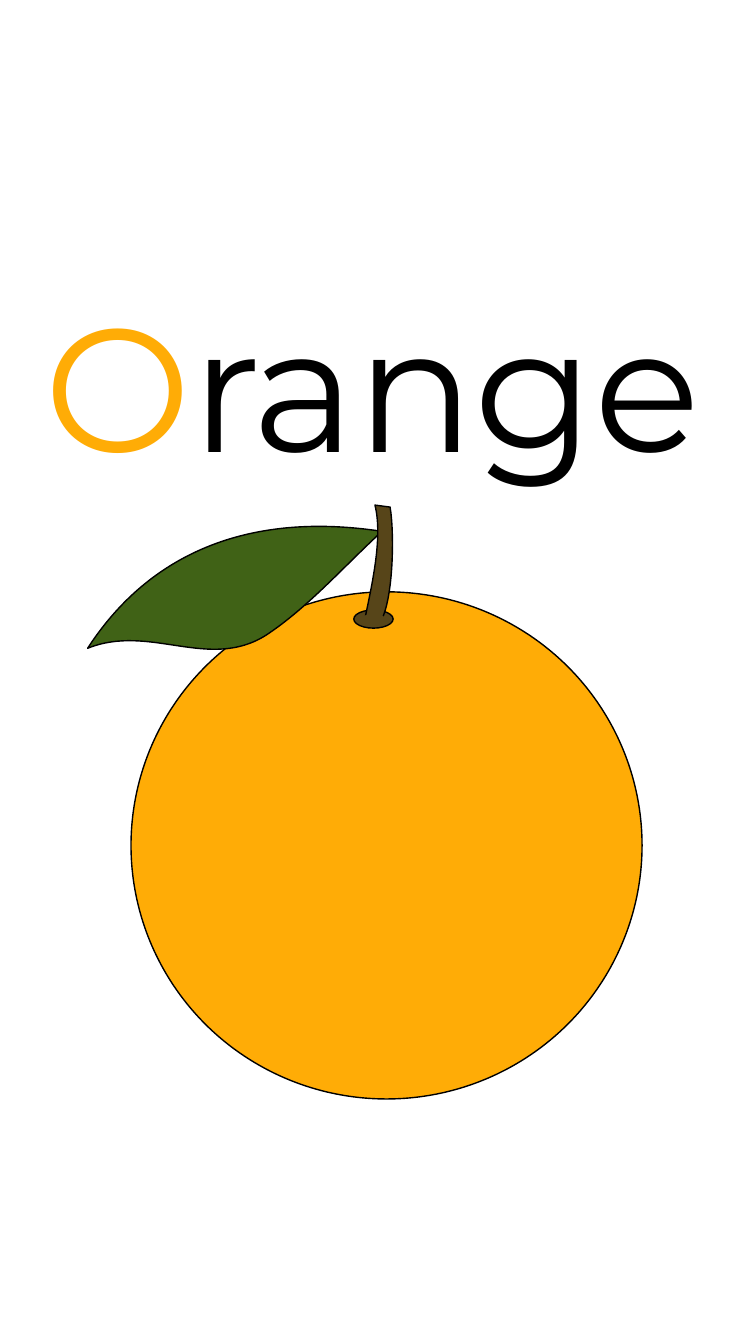
from math import cos, radians, sin

from lxml.etree import SubElement
from pptx import Presentation
from pptx.dml.color import RGBColor
from pptx.enum.shapes import MSO_SHAPE
from pptx.enum.text import MSO_AUTO_SIZE
from pptx.oxml.ns import qn
from pptx.util import Inches, Pt

ORANGE, GREEN, BROWN, BLACK = "FFAC06", "406216", "574519", "000000"


def paint(shape, color, edge=True):
    shape.shadow.inherit = False
    shape.fill.solid()
    shape.fill.fore_color.rgb = RGBColor.from_string(color)
    if edge:
        shape.line.color.rgb = RGBColor.from_string(BLACK)
        shape.line.width = Pt(1)
    else:
        shape.line.fill.background()


def curve(box, steps, color, turn=0):
    left, top, width, height = box
    midx, midy = left + width / 2, top + height / 2
    c, s = cos(radians(turn)), sin(radians(turn))
    builder = art.shapes.build_freeform(Inches(left), Inches(top))
    builder.add_line_segments([(Inches(left + width), Inches(top + height))])
    shape = builder.convert_to_shape()
    shape.left, shape.top, shape.width, shape.height = map(Inches, box)
    shape.rotation = turn
    track = shape._element.xpath(".//a:path")[0]
    track.set("w", str(Inches(width)))
    track.set("h", str(Inches(height)))
    for child in list(track):
        track.remove(child)
    for tag, *points in steps:
        step = SubElement(track, qn(tag))
        for x, y in points:
            dx, dy = x - midx, y - midy
            SubElement(step, qn("a:pt"),
                       x=str(Inches(width / 2 + c * dx + s * dy)),
                       y=str(Inches(height / 2 - s * dx + c * dy)))
    SubElement(track, qn("a:close"))
    paint(shape, color)


deck = Presentation()
deck.slide_width, deck.slide_height = Inches(7.5), Inches(13.33)
slide = deck.slides.add_slide(deck.slide_layouts[6])

title = slide.shapes.add_textbox(Inches(0.34), Inches(2.7), Inches(10.56), Inches(2.2))
title.text_frame.word_wrap = True
title.text_frame.auto_size = MSO_AUTO_SIZE.SHAPE_TO_FIT_TEXT
line = title.text_frame.paragraphs[0]
for text, color in (("O", ORANGE), ("range", BLACK)):
    run = line.add_run()
    run.text = text
    run.font.name = "Montserrat"
    run.font.size = Pt(125)
    run.font.color.rgb = RGBColor.from_string(color)

art = slide.shapes.add_group_shape()

fruit = art.shapes.add_shape(
    MSO_SHAPE.OVAL, Inches(1.3), Inches(5.87), Inches(5.07), Inches(5.03))
paint(fruit, ORANGE)

curve((0.77, 5.35, 3.14, 1.05), [
    ("a:moveTo", (0.87, 6.43)),
    ("a:cubicBezTo", (1.74, 5.09), (3.12, 5.17), (3.79, 5.27)),
    ("a:cubicBezTo", (3.41, 5.62), (3.05, 6.03), (2.64, 6.3)),
    ("a:cubicBezTo", (2.07, 6.66), (1.49, 6.18), (0.87, 6.43)),
], GREEN, 336.4)

base = art.shapes.add_shape(
    MSO_SHAPE.OVAL, Inches(3.51), Inches(6.05), Inches(0.39), Inches(0.18))
paint(base, BROWN)

curve((3.62, 5.01, 0.27, 1.13), [
    ("a:moveTo", (3.72, 5.01)),
    ("a:lnTo", (3.87, 5.03)),
    ("a:cubicBezTo", (3.91, 5.25), (3.91, 5.88), (3.79, 6.14)),
    ("a:lnTo", (3.62, 6.14)),
    ("a:cubicBezTo", (3.69, 5.8), (3.8, 5.33), (3.72, 5.01)),
], BROWN)

joint = art.shapes.add_shape(
    MSO_SHAPE.OVAL, Inches(3.59), Inches(6.09), Inches(0.23), Inches(0.09))
paint(joint, BROWN, edge=False)

deck.save("out.pptx")
